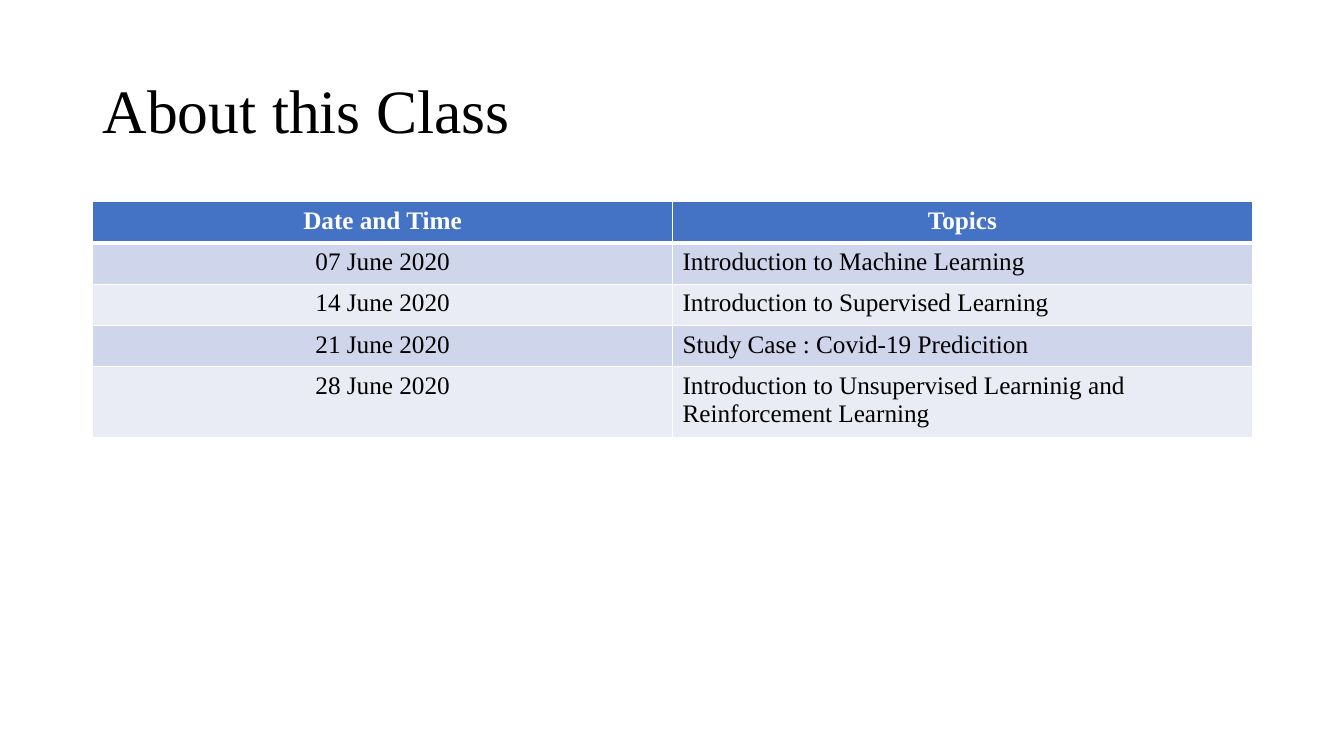
from pptx import Presentation
from pptx.dml.color import RGBColor
from pptx.enum.text import MSO_ANCHOR, PP_ALIGN
from pptx.oxml.ns import qn
from pptx.util import Inches, Pt
from lxml.etree import SubElement

TITLE = "About this Class"
ROWS = [
    ("Date and Time", "Topics"),
    ("07 June 2020", "Introduction to Machine Learning"),
    ("14 June 2020", "Introduction to Supervised Learning"),
    ("21 June 2020", "Study Case : Covid-19 Predicition"),
    ("28 June 2020", "Introduction to Unsupervised Learninig and Reinforcement Learning"),
]
THEME = {
    "font": "Times New Roman", "title": 44, "body": 18,
    "ink": "000000", "paper": "FFFFFF", "head": "4472C4",
    "bands": ("CFD5EA", "E9EBF5"),
}
LEFT, WIDTH = 0.92, 11.5
TOP, ROW = 2, 0.41


def write(para, text, size, color, bold=False):
    run = para.add_run()
    run.text = text
    font = run.font
    font.name, font.size, font.bold = THEME["font"], Pt(size), bold
    font.color.rgb = RGBColor.from_string(color)


def border(cell, base):
    props = cell._tc.get_or_add_tcPr()
    for side, width in (("L", 1), ("R", 1), ("T", 1), ("B", base)):
        line = SubElement(props, qn(f"a:ln{side}"), w=str(Pt(width)))
        fill = SubElement(line, qn("a:solidFill"))
        SubElement(fill, qn("a:srgbClr"), val=THEME["paper"])


def add_title(slide):
    box = slide.shapes.add_textbox(Inches(LEFT), Inches(0.4), Inches(WIDTH), Inches(1.45))
    frame = box.text_frame
    frame.word_wrap = True
    frame.vertical_anchor = MSO_ANCHOR.MIDDLE
    para = frame.paragraphs[0]
    para.line_spacing = 0.9
    write(para, TITLE, THEME["title"], THEME["ink"])


def add_plan(slide):
    count, cols = len(ROWS), len(ROWS[0])
    table = slide.shapes.add_table(
        count, cols, Inches(LEFT), Inches(TOP), Inches(WIDTH), Inches(ROW * count)).table
    for col in table.columns:
        col.width = Inches(WIDTH / cols)
    for r, texts in enumerate(ROWS):
        head = r == 0
        table.rows[r].height = Inches(ROW)
        shade = THEME["head"] if head else THEME["bands"][(r - 1) % 2]
        for c, text in enumerate(texts):
            cell = table.cell(r, c)
            border(cell, 3 if head else 1)
            cell.fill.solid()
            cell.fill.fore_color.rgb = RGBColor.from_string(shade)
            para = cell.text_frame.paragraphs[0]
            para.alignment = PP_ALIGN.CENTER if head or c == 0 else PP_ALIGN.LEFT
            write(para, text, THEME["body"], THEME["paper" if head else "ink"], head)


def main():
    deck = Presentation()
    deck.slide_width, deck.slide_height = Inches(13.33), Inches(7.5)
    slide = deck.slides.add_slide(deck.slide_layouts[6])
    add_title(slide)
    add_plan(slide)
    deck.save("out.pptx")


if __name__ == "__main__":
    main()
